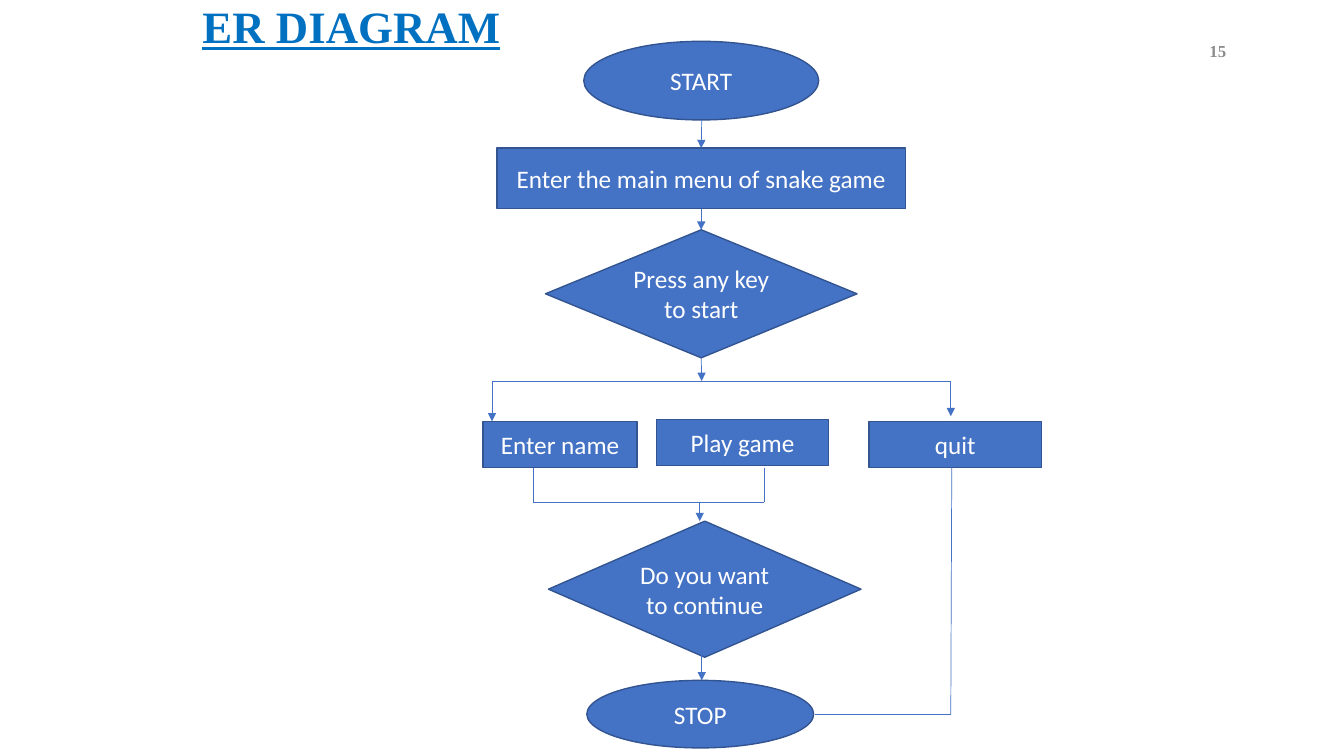
from pptx import Presentation
from pptx.dml.color import RGBColor
from pptx.enum.shapes import MSO_CONNECTOR, MSO_SHAPE
from pptx.enum.text import MSO_ANCHOR, PP_ALIGN
from pptx.oxml.ns import qn
from pptx.util import Inches, Pt
from lxml.etree import SubElement

COLORS = {"fill": "4472C4", "edge": "325491", "text": "FFFFFF",
          "title": "0070C0", "number": "8C8C8C"}
OVAL, RECT, DIAMOND = MSO_SHAPE.OVAL, MSO_SHAPE.RECTANGLE, MSO_SHAPE.DIAMOND
TOP, BOTTOM = 0, 2

# name: (shape, text, (left, top, width, height))
STEPS = {
    "start": (OVAL, "START", (5.79, 0.41, 2.33, 0.78)),
    "menu": (RECT, "Enter the main menu of snake game", (4.93, 1.47, 4.05, 0.6)),
    "key": (DIAMOND, "Press any key to start", (5.41, 2.28, 3.09, 1.27)),
    "name": (RECT, "Enter name", (4.79, 4.18, 1.53, 0.46)),
    "play": (RECT, "Play game", (6.51, 4.16, 1.71, 0.46)),
    "quit": (RECT, "quit", (8.62, 4.18, 1.71, 0.46)),
    "more": (DIAMOND, "Do you want to continue", (5.44, 5.17, 3.1, 1.35)),
    "stop": (OVAL, "STOP", (5.82, 6.75, 2.25, 0.67)),
}

MID, FORK, JOIN, END = 6.96, 3.78, 4.98, 7.09
LEFT, RIGHT = 4.88, 9.43

# (from, to, arrow, step joined at from, step joined at to)
LINES = [
    ((MID, 1.19), (MID, 1.47), True, None, "menu"),
    ((MID, 2.07), (MID, 2.28), True, "menu", "key"),
    ((MID, 3.55), (MID, FORK), True, "key", None),
    ((LEFT, FORK), (RIGHT, FORK), False, None, None),
    ((LEFT, FORK), (LEFT, 4.18), True, None, None),
    ((RIGHT, FORK), (RIGHT, 4.13), True, None, None),
    ((5.29, 4.64), (5.29, JOIN), False, None, None),
    ((5.29, JOIN), (7.58, JOIN), False, None, None),
    ((7.58, JOIN), (7.58, 4.64), False, None, None),
    ((6.94, JOIN), (6.94, 5.17), True, None, None),
    ((MID, 6.5), (MID, 6.75), True, None, None),
    ((9.44, 4.64), (RIGHT, END), False, None, None),
    ((RIGHT, END), (8.08, END), False, None, None),
]


def color(name):
    return RGBColor.from_string(COLORS[name])


def write(shape, text, size, face, tint, align, bold=False):
    frame = shape.text_frame
    frame.word_wrap = True
    para = frame.paragraphs[0]
    para.text, para.alignment = text, align
    font = para.font
    font.size, font.name, font.bold = Pt(size), face, bold
    font.color.rgb = color(tint)
    return para


def add_step(slide, kind, text, box):
    shape = slide.shapes.add_shape(kind, *map(Inches, box))
    shape.shadow.inherit = False
    shape.fill.solid()
    shape.fill.fore_color.rgb = color("fill")
    shape.line.color.rgb = color("edge")
    shape.line.width = Pt(1)
    shape.text_frame.vertical_anchor = MSO_ANCHOR.MIDDLE
    write(shape, text, 18, "Calibri", "text", PP_ALIGN.CENTER)
    return shape


def add_line(slide, start, end, arrow):
    line = slide.shapes.add_connector(
        MSO_CONNECTOR.STRAIGHT, *map(Inches, start + end))
    line.line.color.rgb = color("fill")
    line.line.width = Pt(0.5)
    if arrow:
        SubElement(line.line._get_or_add_ln(), qn("a:tailEnd"), type="triangle")
    SubElement(line._element.spPr, qn("a:effectLst"))
    return line


def main():
    deck = Presentation()
    deck.slide_width, deck.slide_height = Inches(13.33), Inches(7.5)
    slide = deck.slides.add_slide(deck.slide_layouts[6])

    title = slide.shapes.add_textbox(*map(Inches, (1.91, 0, 9.79, 7.5)))
    para = write(title, "ER DIAGRAM", 32, "Times New Roman", "title",
                 PP_ALIGN.LEFT, True)
    para.font.underline = True
    para.line_spacing, para.space_before = 0.9, Pt(10)

    number = slide.shapes.add_textbox(*map(Inches, (11.42, 0.3, 0.84, 0.4)))
    number.text_frame.vertical_anchor = MSO_ANCHOR.MIDDLE
    write(number, "15", 12, "Times New Roman", "number", PP_ALIGN.RIGHT, True)

    steps = {name: add_step(slide, *step) for name, step in STEPS.items()}
    for start, end, arrow, source, target in LINES:
        line = add_line(slide, start, end, arrow)
        if source:
            line.begin_connect(steps[source], BOTTOM)
        if target:
            line.end_connect(steps[target], TOP)

    deck.save("out.pptx")


if __name__ == "__main__":
    main()
